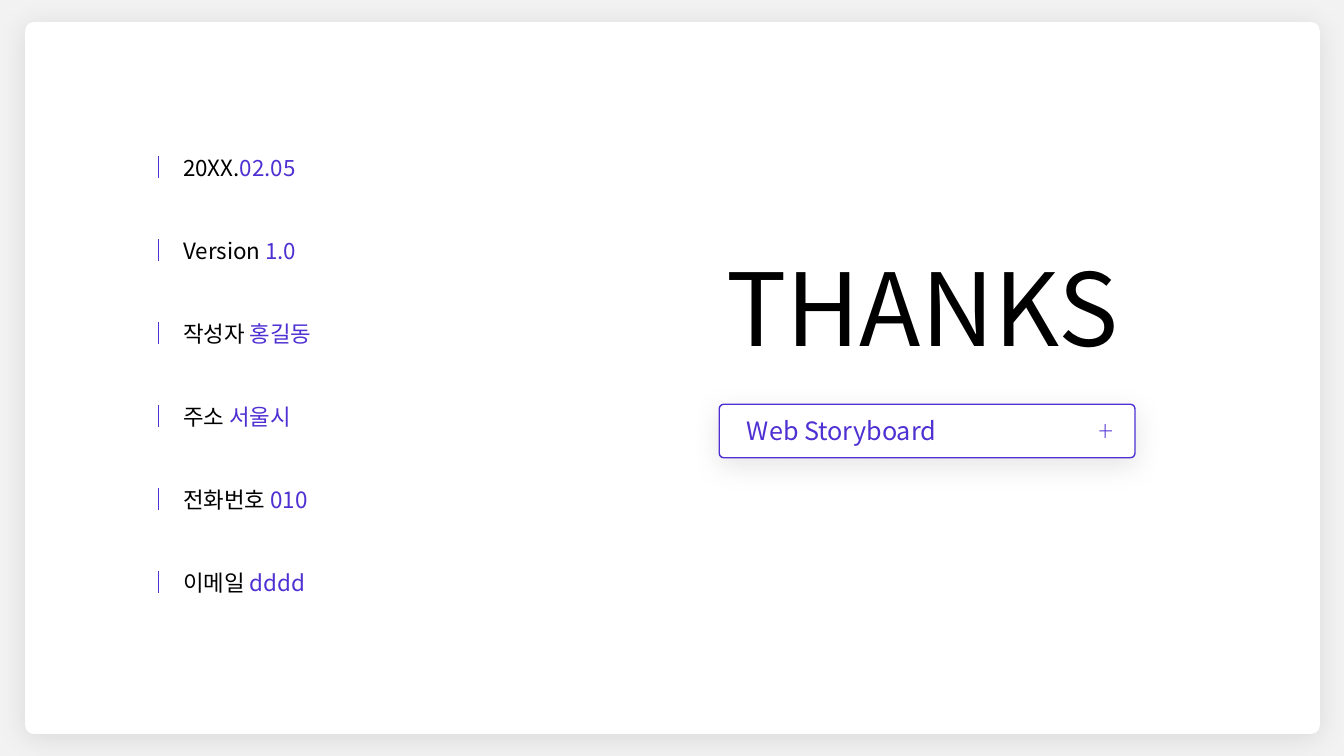
from lxml.etree import SubElement
from pptx import Presentation
from pptx.dml.color import RGBColor
from pptx.enum.shapes import MSO_CONNECTOR, MSO_SHAPE
from pptx.enum.text import MSO_ANCHOR, MSO_AUTO_SIZE, PP_ALIGN
from pptx.oxml.ns import qn
from pptx.util import Emu, Pt

PX = 9525
FONT = "Noto Sans CJK KR"
BLACK = RGBColor(0x00, 0x00, 0x00)
WHITE = RGBColor(0xFF, 0xFF, 0xFF)
GRAY = RGBColor(0xF2, 0xF2, 0xF2)
VIOLET = RGBColor(0x4F, 0x30, 0xD3)


def add_block(shapes, kind, box, color, radius=None, shadow_distance=None):
    shape = shapes.add_shape(kind, *(Emu(n * PX) for n in box))
    shape.shadow.inherit = False
    shape.fill.solid()
    shape.fill.fore_color.rgb = color
    shape.line.fill.background()
    if radius is not None:
        shape.adjustments[0] = radius
    if shadow_distance:
        effects = shape._element.spPr.find(qn("a:effectLst"))
        shadow = SubElement(effects, qn("a:outerShdw"), blurRad=str(Pt(20)),
                            dist=str(Pt(shadow_distance)), dir="5400000",
                            algn="t", rotWithShape="0")
        shadow_color = SubElement(shadow, qn("a:srgbClr"), val="000000")
        SubElement(shadow_color, qn("a:alpha"), val="10000")
    return shape


def write_text(shape, box, size, parts):
    shape.left, shape.top, shape.width, shape.height = (Emu(n * PX) for n in box)
    frame = shape.text_frame
    frame.word_wrap = True
    frame.auto_size = MSO_AUTO_SIZE.SHAPE_TO_FIT_TEXT
    frame.vertical_anchor = MSO_ANCHOR.TOP
    paragraph = frame.paragraphs[0]
    paragraph.alignment = PP_ALIGN.LEFT
    for words, color in parts:
        run = paragraph.add_run()
        run.text = words
        run.font.size = Pt(size)
        run.font.name = FONT
        run.font.color.rgb = color
        SubElement(run.font._element, qn("a:ea"), typeface=FONT)


presentation = Presentation()
presentation.slide_width = Emu(1280 * PX)
presentation.slide_height = Emu(720 * PX)
slide = presentation.slides.add_slide(presentation.slide_layouts[5])
slide.background.fill.solid()
slide.background.fill.fore_color.rgb = GRAY
shapes = slide.shapes

add_block(shapes, MSO_SHAPE.ROUNDED_RECTANGLE, (24, 21, 1233, 678), WHITE, 0.012, 3)
button = add_block(shapes, MSO_SHAPE.ROUNDED_RECTANGLE, (685, 385, 396, 51), WHITE, 0.087, 5)
button.line.color.rgb = VIOLET
button.line.width = Pt(1)

title = shapes.title
write_text(title, (682, 229, 585, 126), 72, [("THANKS", BLACK)])
button._element.addnext(title._element)

label = shapes.add_textbox(0, 0, 0, 0)
write_text(label, (702, 391, 370, 38), 18, [("Web Storyboard", VIOLET)])

plus = shapes.add_group_shape()
for bar in [(1047, 410, 12, 1), (1052, 404, 1, 13)]:
    add_block(plus.shapes, MSO_SHAPE.RECTANGLE, bar, VIOLET)

DETAILS = [
    ("20XX.", "02.05"),
    ("Version ", "1.0"),
    ("작성자 ", "홍길동"),
    ("주소", " 서울시"),
    ("전화번호 ", "010"),
    ("이메일 ", "dddd"),
]
details = shapes.add_group_shape()
for row, (name, value) in enumerate(DETAILS):
    top = 142 + 79 * row
    detail = details.shapes.add_textbox(0, 0, 0, 0)
    write_text(detail, (165, top, 260, 36), 16, [(name, BLACK), (value, VIOLET)])
    tick = details.shapes.add_connector(
        MSO_CONNECTOR.STRAIGHT, *(Emu(n * PX) for n in (151, top + 7, 151, top + 28)))
    tick.line.color.rgb = VIOLET
    tick.line.width = Pt(0.5)
    SubElement(tick._element.spPr, qn("a:effectLst"))
# the group frame follows its members
presentation.save("out.pptx")
